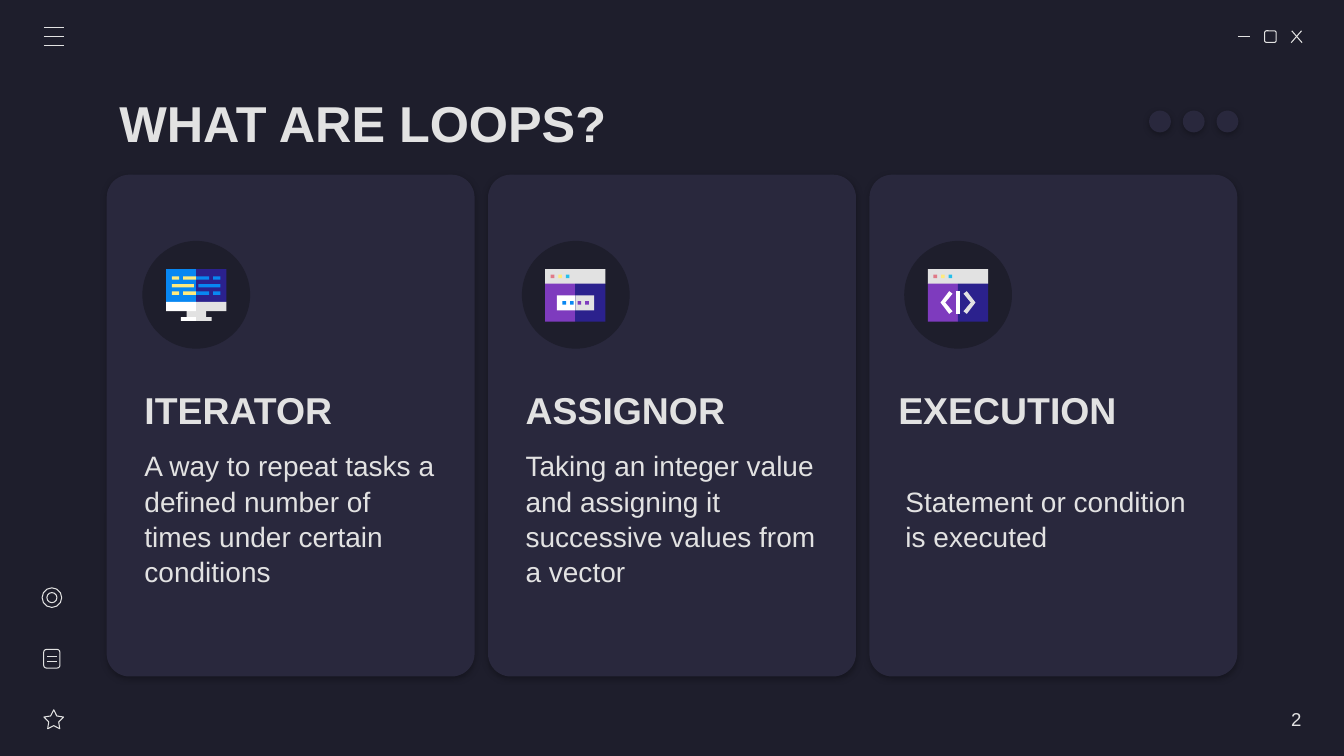
"""Build the "What are loops?" slide with three concept cards."""
import pptx
import pptx.dml.color
import pptx.enum.shapes
import pptx.enum.text
import pptx.oxml
import pptx.oxml.ns
import pptx.util

Pt = pptx.util.Pt
RGB = pptx.dml.color.RGBColor.from_string
MSO = pptx.enum.shapes.MSO_SHAPE
ALIGN = pptx.enum.text.PP_ALIGN
COLORS = {
    "bg": "1E1E2C", "card": "29283D", "light": "E2E2E2", "white": "FFFFFF",
    "navy": "2B218D", "purple": "7E3BBE", "blue": "0887F2", "yellow": "FFEA7D",
    "pink": "E07A88", "cyan": "24BFEB",
}
NS = pptx.oxml.ns.nsdecls("a")
SHADOW = (
    f'<a:outerShdw {NS} blurRad="57150" dist="19050" dir="5400000" algn="bl" rotWithShape="0">'
    '<a:srgbClr val="000000"><a:alpha val="30000"/></a:srgbClr></a:outerShdw>'
)


def add_part(kind, x, y, w, h, fill=None, adj=None, shadow=False):
    """Add a filled preset shape, or an outlined one when there is no fill."""
    sp = s.shapes.add_shape(kind, Pt(x), Pt(y), Pt(w), Pt(h))
    sp.shadow.inherit = False
    if adj is not None:
        sp.adjustments[0] = adj
    if fill:
        sp.fill.solid()
        sp.fill.fore_color.rgb = RGB(COLORS[fill])
        sp.line.fill.background()
    else:
        sp.fill.background()
        sp.line.color.rgb = RGB(COLORS["light"])
        sp.line.width = Pt(0.75)
    if shadow:
        effects = sp._element.spPr.find(pptx.oxml.ns.qn("a:effectLst"))
        effects.append(pptx.oxml.parse_xml(SHADOW))


def set_text(sp, box, text, size, bold=False, align=ALIGN.LEFT, right=9.6, spacing=1):
    """Place a text shape and format its single paragraph."""
    sp.left, sp.top, sp.width, sp.height = [Pt(v) for v in box]
    tf = sp.text_frame
    tf.text = text
    tf.word_wrap = True
    tf.auto_size = pptx.enum.text.MSO_AUTO_SIZE.NONE
    tf.vertical_anchor = pptx.enum.text.MSO_ANCHOR.MIDDLE
    tf.margin_left = tf.margin_top = tf.margin_bottom = Pt(9.6)
    tf.margin_right = Pt(right)
    p = tf.paragraphs[0]
    p.alignment = align
    p.line_spacing = spacing
    r = p.runs[0]
    r.font.name = "Arial"
    r.font.size = Pt(size)
    r.font.bold = bold
    r.font.color.rgb = RGB(COLORS["light"])


prs = pptx.Presentation()
prs.slide_width, prs.slide_height = Pt(960), Pt(540)
s = prs.slides.add_slide(prs.slide_layouts[5])
s.background.fill.solid()
s.background.fill.fore_color.rgb = RGB(COLORS["bg"])

set_text(s.shapes.title, (75.6, 56.9, 476.6, 60.5), "WHAT ARE LOOPS?", 36, bold=True)

cards = [
    ("ITERATOR", "A way to repeat tasks a defined number of times under certain conditions",
     101.7, 93.6, 93.6),
    ("ASSIGNOR", "Taking an integer value and assigning it successive values from a vector",
     372.8, 365.8, 365.8),
    ("EXECUTION", "Statement or condition is executed", 645.9, 632, 637.2),
]
for i, (heading, body, circle_x, heading_x, body_x) in enumerate(cards):
    add_part(MSO.ROUNDED_RECTANGLE, 76.2 + 272.4 * i, 124.8, 262.8, 358.4, "card", 0.062, True)
    add_part(MSO.OVAL, circle_x, 172.1, 77, 77, "bg")
    for box, text, size, bold, spacing in [
        ((heading_x, 268, 240, 49), heading, 26.7, True, 1),
        ((body_x, 317.5, 228.2, 104.4), body, 20, False, 1.05),
    ]:
        set_text(s.shapes.add_textbox(0, 0, 0, 0), box, text, size, bold, spacing=spacing)

set_text(s.shapes.add_textbox(0, 0, 0, 0), (818, 499.2, 111.6, 29.5), "2", 13.3,
         align=ALIGN.RIGHT, right=0)

for i in range(3):
    add_part(MSO.OVAL, 820.8 + 24.1 * i, 79, 15.6, 15.6, "card", shadow=True)

menu_lines = [(31.4, y, 45.6, y) for y in (19.7, 26.1, 32.5)]
note_lines = [(33.8, y, 40.5, y) for y in (468.7, 472.3)]
window_lines = [(884.2, 26.2, 892.9, 26.2), (922.7, 22, 930.1, 30.5), (929.7, 22, 922.3, 30.5)]
for x1, y1, x2, y2 in menu_lines + note_lines + window_lines:
    line = s.shapes.add_connector(pptx.enum.shapes.MSO_CONNECTOR.STRAIGHT,
                                  Pt(x1), Pt(y1), Pt(x2), Pt(y2))
    line.line.color.rgb = RGB(COLORS["light"])
    line.line.width = Pt(0.75)
    line._element.spPr.append(pptx.oxml.parse_xml(f"<a:effectLst {NS}/>"))

add_part(MSO.ROUNDED_RECTANGLE, 903.3, 22, 8.3, 8.3)
add_part(MSO.STAR_5_POINT, 31.4, 507, 14, 13.6, adj=0.254)
add_part(MSO.ROUNDED_RECTANGLE, 31.2, 463.9, 11.6, 13.3)
add_part(MSO.OVAL, 30.1, 419.9, 14, 14)
add_part(MSO.OVAL, 33.5, 423.3, 7.2, 7.2)

monitor = [
    (0, 0, 21.5, 23.5, "blue"), (21.5, 0, 21.5, 23.5, "navy"),
    (14.6, 29, 14, 6, "light"),
    (10.5, 34.4, 11, 2.6, "white"), (21.5, 34.4, 11, 2.6, "light"),
    (0, 23.5, 21.5, 6.5, "white"), (21.5, 23.5, 21.5, 6.5, "light"),
    (4.1, 10.7, 15.8, 2.4, "yellow"), (23, 10.7, 15.8, 2.4, "blue"),
]
for y in (5.2, 16):
    monitor += [(4.1, y, 5.2, 2.4, "yellow"), (12.2, y, 9.3, 2.4, "yellow"),
                (21.5, y, 9.3, 2.4, "blue"), (33.6, y, 5.2, 2.4, "blue")]
browser = [(0, 10, 21.5, 27.6, "purple"), (21.5, 10, 21.5, 27.6, "navy"),
           (0, 0, 43, 10.4, "light")]
browser += [(4 + 5.4 * i, 4, 2.6, 2.4, c) for i, c in enumerate(("pink", "yellow", "cyan"))]
field = [(8.4, 18.9, 13.1, 10.6, "white"), (21.5, 18.9, 13.4, 10.6, "light")]
field += [(12.4 + 5.4 * i, 22.9, 2.6, 2.6, c)
          for i, c in enumerate(("blue", "blue", "purple", "purple"))]
bar = [(20.2, 15.8, 2.6, 16.2, "white")]
icon_y, code_x = 192.2, 662.8
for icon_x, parts in [(118.7, monitor), (389.4, browser + field), (code_x, browser + bar)]:
    for x, y, w, h, fill in parts:
        add_part(MSO.RECTANGLE, icon_x + x, icon_y + y, w, h, fill)

bracket = [(15.2, 15.8), (9, 23.9), (15.2, 32), (17.6, 30.2), (12.4, 23.9), (17.6, 17.6)]
mirrored = [(43 - x, y) for x, y in bracket]
for outline, fill in [(bracket, "white"), (mirrored, "light")]:
    points = [(Pt(code_x + x), Pt(icon_y + y)) for x, y in outline]
    builder = s.shapes.build_freeform(*points[0])
    builder.add_line_segments(points[1:])
    sp = builder.convert_to_shape()
    sp.shadow.inherit = False
    sp.fill.solid()
    sp.fill.fore_color.rgb = RGB(COLORS[fill])
    sp.line.fill.background()

prs.save("out.pptx")
